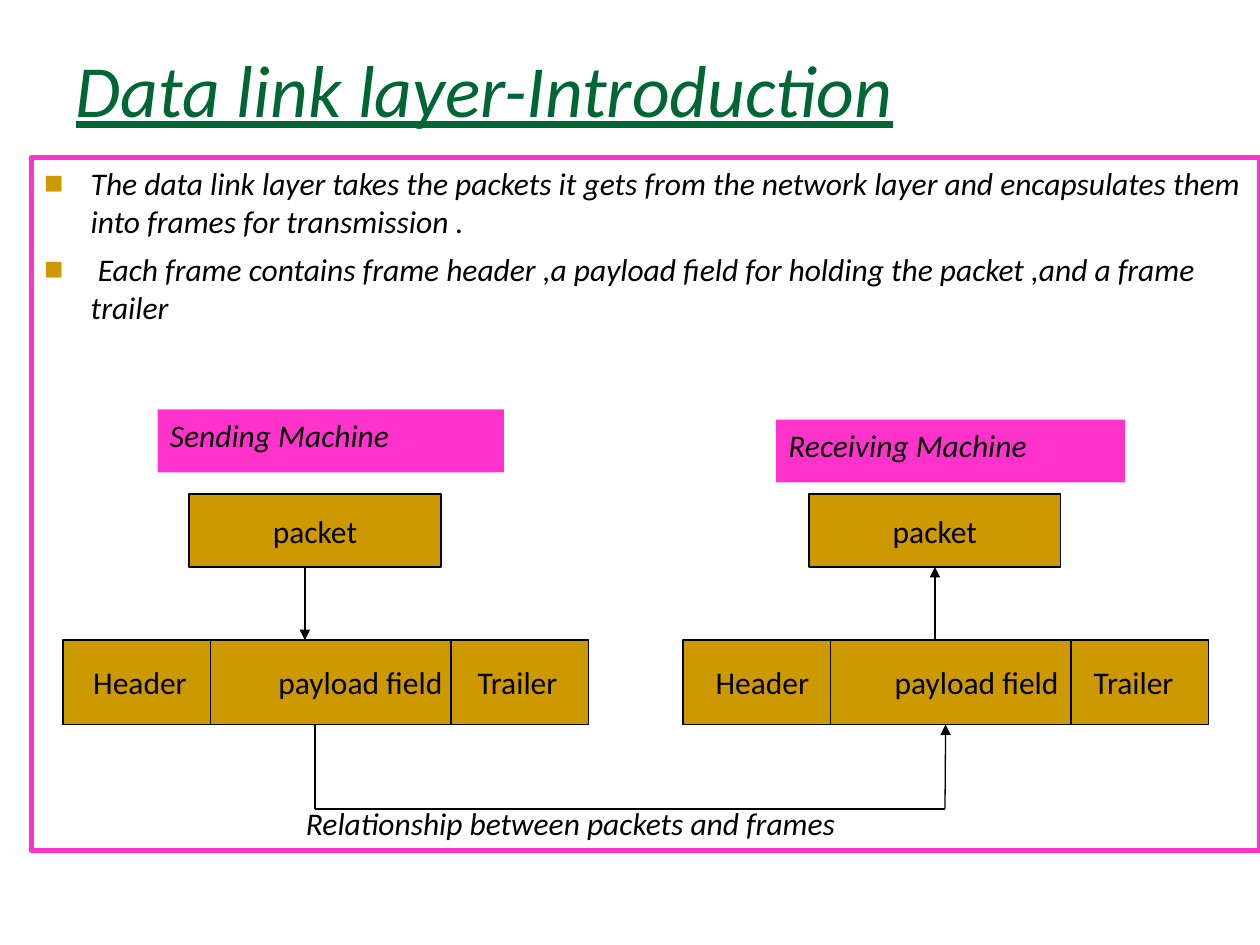
from lxml.etree import SubElement
from pptx import Presentation
from pptx.dml.color import RGBColor as Rgb
from pptx.enum.shapes import MSO_CONNECTOR as Conn, MSO_SHAPE as Shape
from pptx.enum.text import MSO_ANCHOR as Anchor, MSO_AUTO_SIZE as Auto, PP_ALIGN as Align
from pptx.oxml.ns import qn
from pptx.util import Inches, Pt

TITLE = "Data link layer-Introduction"
POINTS = [
    "The data link layer takes the packets it gets from the network layer "
    "and encapsulates them into frames for transmission .",
    " Each frame contains frame header ,a payload field for holding "
    "the packet ,and a frame trailer",
]
PARTS = ["Header", "payload field", "Trailer"]
CAPTION = "Relationship between packets and frames"
# label, its box, left of the frame, left inset and tab stops of the frame text
SIDES = [
    ("Sending Machine", (1.25, 3.25, 2.75, 0.5), 0.5, 0.24, (1.47, 3.05)),
    ("Receiving Machine", (6.16, 3.33, 2.77, 0.5), 5.42, 0.26, (1.42, 3)),
]
THEME = {"font": "Calibri", "title": 42, "text": 18, "green": "006633",
         "pink": "FF33CC", "gold": "CC9900", "ink": "000000",
         "thin": 0.75, "thick": 3}

PACK_TOP, PACK_W, PACK_H = 3.92, 2, 0.58
ROW_TOP, ROW_W, ROW_H = 5.08, 4.17, 0.67
CUTS = (1.17, 3.08)
INSET = 1
LINK_Y = 6.42


def tint(name):
    return Rgb.from_string(THEME[name])


def place(shape, box):
    shape.left, shape.top, shape.width, shape.height = map(Inches, box)


def write(shape, lines, size="text", color="ink", italic=False, under=False,
          align=Align.LEFT, anchor=Anchor.TOP, left=0.1, tabs=(),
          gap=0, bullet=False):
    frame = shape.text_frame
    frame.word_wrap, frame.auto_size = True, Auto.NONE
    frame.vertical_anchor = anchor
    frame.margin_left, frame.margin_right = Inches(left), Inches(0.1)
    frame.margin_top = frame.margin_bottom = Inches(0.05)
    for i, line in enumerate(lines):
        para = frame.paragraphs[0] if i == 0 else frame.add_paragraph()
        para.alignment = align
        para.space_before = Pt(gap if i else 0)
        if bullet:
            mark(para)
        if tabs:
            stops = SubElement(para._p.get_or_add_pPr(), qn("a:tabLst"))
            for pos in tabs:
                SubElement(stops, qn("a:tab"), pos=str(Inches(pos)), algn="l")
        run = para.add_run()
        run.text = line
        font = run.font
        font.name, font.size = THEME["font"], Pt(THEME[size])
        font.italic, font.underline = italic, under
        font.color.rgb = tint(color)


def mark(para):
    """Give the paragraph a small gold square and a hanging indent."""
    props = para._p.get_or_add_pPr()
    props.set("marL", str(Inches(0.37)))
    props.set("indent", str(-Inches(0.37)))
    SubElement(SubElement(props, qn("a:buClr")), qn("a:srgbClr"), val=THEME["gold"])
    SubElement(props, qn("a:buSzPct"), val="65000")
    SubElement(props, qn("a:buFont"), typeface=THEME["font"])
    SubElement(props, qn("a:buChar"), char="■")


def rect(slide, box, fill, edge=True):
    shape = slide.shapes.add_shape(Shape.RECTANGLE, *map(Inches, box))
    shape.shadow.inherit = False
    shape.fill.solid()
    shape.fill.fore_color.rgb = tint(fill)
    if edge:
        shape.line.color.rgb = tint("ink")
        shape.line.width = Pt(THEME["thin"])
    else:
        shape.line.fill.background()
    return shape


def link(slide, start, end, arrow=False, goal=None):
    """Draw a line; goal is a shape whose bottom middle the line joins."""
    line = slide.shapes.add_connector(Conn.STRAIGHT, *map(Inches, start + end))
    line.line.color.rgb = tint("ink")
    line.line.width = Pt(THEME["thin"])
    if arrow:
        SubElement(line.line._get_or_add_ln(), qn("a:tailEnd"), type="triangle")
    SubElement(line._element.spPr, qn("a:effectLst"))
    if goal is not None:
        line.end_connect(goal, 2)


def main():
    deck = Presentation()
    deck.slide_width, deck.slide_height = Inches(10), Inches(7.5)
    slide = deck.slides.add_slide(deck.slide_layouts[1])

    title, body = slide.placeholders
    place(title, (0.5, 0.3, 9, 1.25))
    write(title, [TITLE], size="title", color="green", italic=True, under=True)
    place(body, (0.25, 1.25, 9.75, 5.5))
    body.line.color.rgb = tint("pink")
    body.line.width = Pt(THEME["thick"])
    write(body, POINTS, italic=True, gap=6, bullet=True)

    packs, rows = [], []
    for label, box, left, pad, tabs in SIDES:
        pack = rect(slide, (left + INSET, PACK_TOP, PACK_W, PACK_H), "gold")
        write(pack, ["packet"], align=Align.CENTER, anchor=Anchor.MIDDLE)
        row = rect(slide, (left, ROW_TOP, ROW_W, ROW_H), "gold")
        write(row, ["\t".join(PARTS)], anchor=Anchor.MIDDLE, left=pad, tabs=tabs)
        for cut in CUTS:
            link(slide, (left + cut, ROW_TOP), (left + cut, ROW_TOP + ROW_H))
        write(rect(slide, box, "pink", edge=False), [label], italic=True)
        packs.append(pack)
        rows.append(row)

    base = ROW_TOP + ROW_H
    link(slide, (2.42, PACK_TOP + PACK_H), (2.42, ROW_TOP), arrow=True)
    link(slide, (7.42, ROW_TOP), (7.42, PACK_TOP + PACK_H), arrow=True, goal=packs[1])
    link(slide, (2.5, base), (2.5, LINK_Y))
    link(slide, (2.5, LINK_Y), (7.5, LINK_Y))
    link(slide, (7.5, LINK_Y), (7.5, base), arrow=True, goal=rows[1])

    note = slide.shapes.add_textbox(*map(Inches, (2.33, 6.33, 6.75, 0.5)))
    write(note, [CAPTION], italic=True)
    deck.save("out.pptx")


if __name__ == "__main__":
    main()
